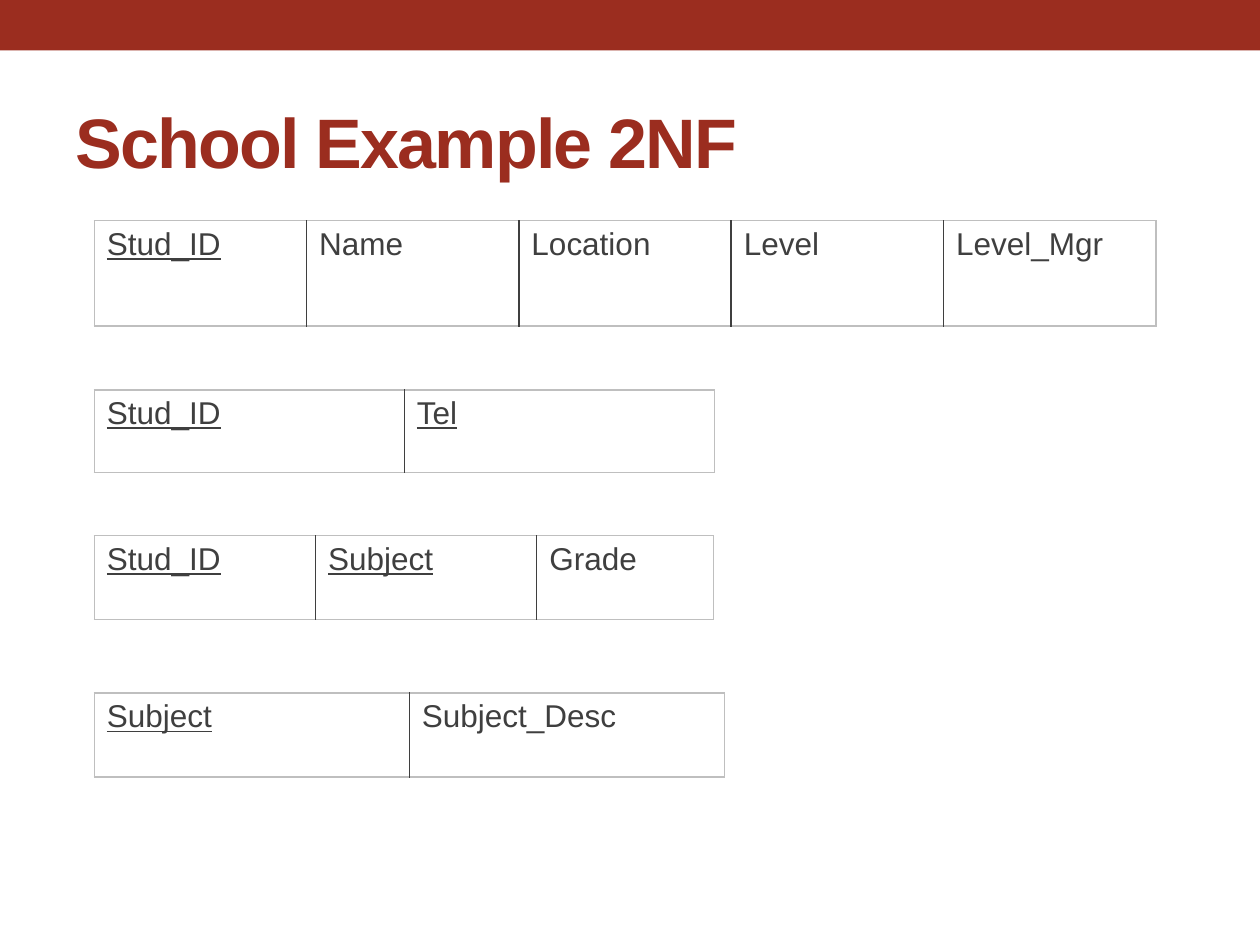
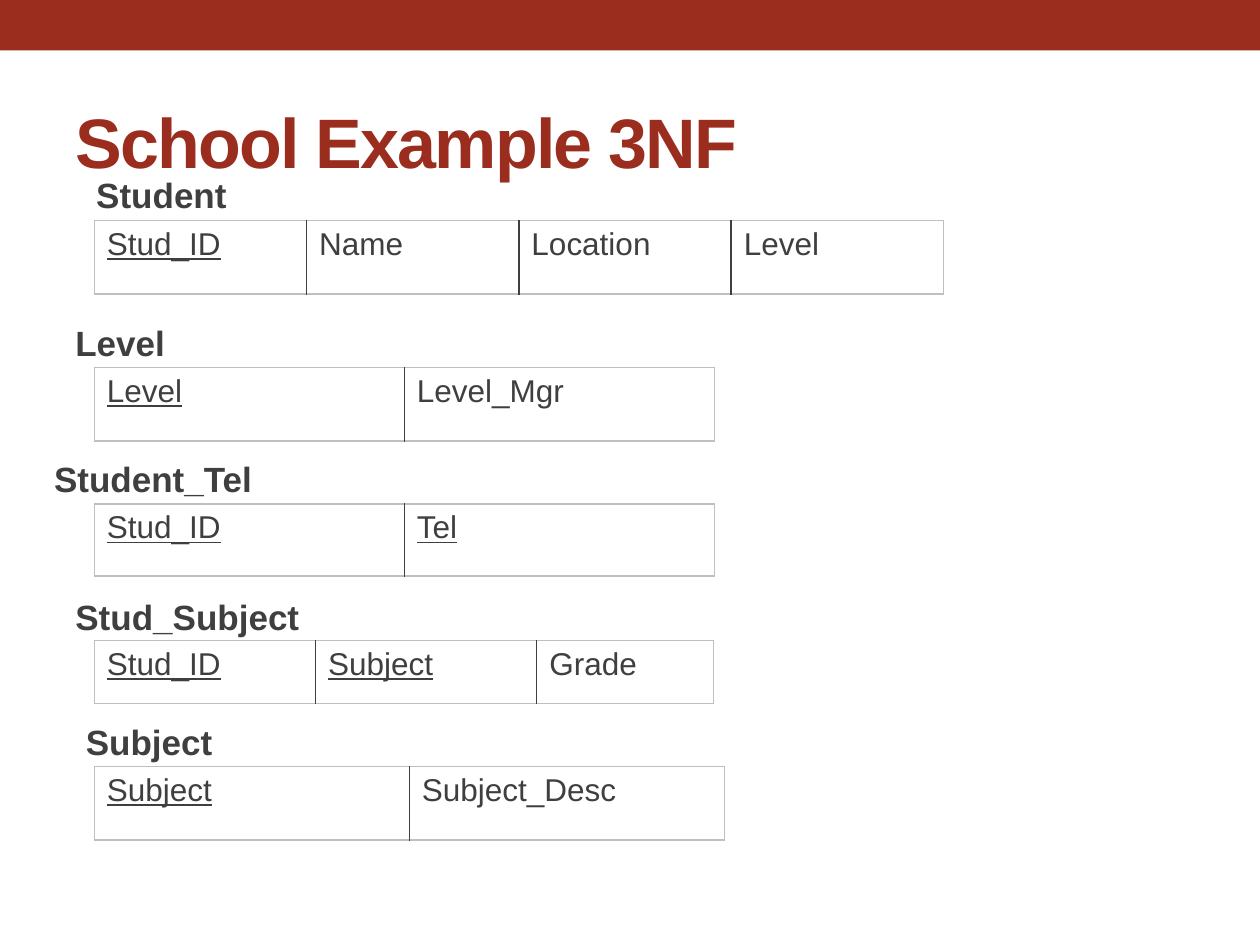
from pptx import Presentation
from pptx.dml.color import RGBColor
from pptx.enum.shapes import MSO_SHAPE as Shape
from pptx.enum.text import MSO_ANCHOR as Anchor
from pptx.oxml import parse_xml
from pptx.oxml.ns import nsdecls
from pptx.util import Cm, Pt

COLORS = {"accent": "9B2D1F", "text": "3F3F3F", "edge": "BFBFBF"}
FORMATS = {
    "title": {"name": "Arial", "size": Pt(40), "bold": True},
    "label": {"name": "Arial", "size": Pt(20), "bold": True},
    "field": {"name": "Arial", "size": Pt(18), "bold": False},
}
TABLE_LEFT = 1.9
PERSON_WIDTH = 4.28
PAIR_WIDTHS = [6.25] * 2
GRADE_WIDTHS = [4.46, 4.46, 3.56]
SUBJECT_WIDTHS = [6.35] * 2


class SchemaDeck:
    def __init__(self):
        self.presentation = Presentation()
        self.presentation.slide_width = Cm(25.4)
        self.presentation.slide_height = Cm(19.05)
        self.slide = None

    def add_slide(self, title):
        self.slide = self.presentation.slides.add_slide(self.presentation.slide_layouts[6])
        self.add_band()
        run = self.add_text(title, "title", "accent", (1.27, 1.47, 22.86, 2.74), Anchor.MIDDLE)
        run._r.get_or_add_rPr().set("spc", "-100")

    def add_band(self):
        band = self.slide.shapes.add_shape(
            Shape.RECTANGLE, 0, 0, self.presentation.slide_width, Cm(1.02))
        band.shadow.inherit = False
        band.fill.solid()
        band.fill.fore_color.rgb = RGBColor.from_string(COLORS["accent"])
        band.line.fill.background()

    def add_run(self, text_frame, text, style, color, underline=False):
        run = text_frame.paragraphs[0].add_run()
        run.text = text
        for attribute, value in {**FORMATS[style], "underline": underline}.items():
            setattr(run.font, attribute, value)
        run.font.color.rgb = RGBColor.from_string(COLORS[color])
        return run

    def add_text(self, text, style, color, box, anchor=Anchor.TOP):
        text_frame = self.slide.shapes.add_textbox(*map(Cm, box)).text_frame
        text_frame.word_wrap = True
        text_frame.vertical_anchor = anchor
        return self.add_run(text_frame, text, style, color)

    def add_label(self, text, left, top, width):
        self.add_text(text, "label", "text", (left, top, width, 1.12))

    def add_relation(self, fields, key_count, widths, top, height):
        table = self.slide.shapes.add_table(
            1, len(fields), Cm(TABLE_LEFT), Cm(top), Cm(sum(widths)), Cm(height)).table
        table.first_row = table.horz_banding = False
        table.rows[0].height = Cm(height)
        last = len(fields) - 1
        for index, (field, width) in enumerate(zip(fields, widths)):
            table.columns[index].width = Cm(width)
            cell = table.cell(0, index)
            cell.fill.background()
            self.add_run(cell.text_frame, field, "field", "text", index < key_count)
            self.add_borders(cell, {
                "lnL": "text" if index else "edge",
                "lnR": "text" if index < last else "edge",
                "lnT": "edge",
                "lnB": "edge",
            })

    def add_borders(self, cell, sides):
        properties = cell._tc.get_or_add_tcPr()
        for position, (side, color) in enumerate(sides.items()):
            properties.insert(position, parse_xml(
                f'<a:{side} {nsdecls("a")} w="12700"><a:solidFill>'
                f'<a:srgbClr val="{COLORS[color]}"/></a:solidFill></a:{side}>'))


def main():
    person = ["Stud_ID", "Name", "Location", "Level"]
    phone = (["Stud_ID", "Tel"], 2, PAIR_WIDTHS)
    grade = (["Stud_ID", "Subject", "Grade"], 2, GRADE_WIDTHS)
    subject = (["Subject", "Subject_Desc"], 1, SUBJECT_WIDTHS)

    deck = SchemaDeck()
    deck.add_slide("School Example 2NF")
    deck.add_relation(person + ["Level_Mgr"], 1, [PERSON_WIDTH] * 5, 4.45, 2.12)
    deck.add_relation(*phone, 7.86, 1.67)
    deck.add_relation(*grade, 10.8, 1.69)
    deck.add_relation(*subject, 13.97, 1.69)

    deck.add_slide("School Example 3NF")
    for label, relation, top, height in [
        (("Student", 1.69, 3.38, 3.6), (person, 1, [PERSON_WIDTH] * 4), 4.45, 1.48),
        (("Level", 1.27, 6.35, 3.6), (["Level", "Level_Mgr"], 1, PAIR_WIDTHS), 7.41, 1.48),
        (("Student_Tel", 0.84, 9.1, 6.35), phone, 10.16, 1.45),
        (("Stud_Subject", 1.27, 11.89, 6.15), grade, 12.91, 1.27),
        (("Subject", 1.48, 14.4, 3.6), subject, 15.45, 1.48),
    ]:
        deck.add_relation(*relation, top, height)
        deck.add_label(*label)
    deck.presentation.save("out.pptx")


if __name__ == "__main__":
    main()
